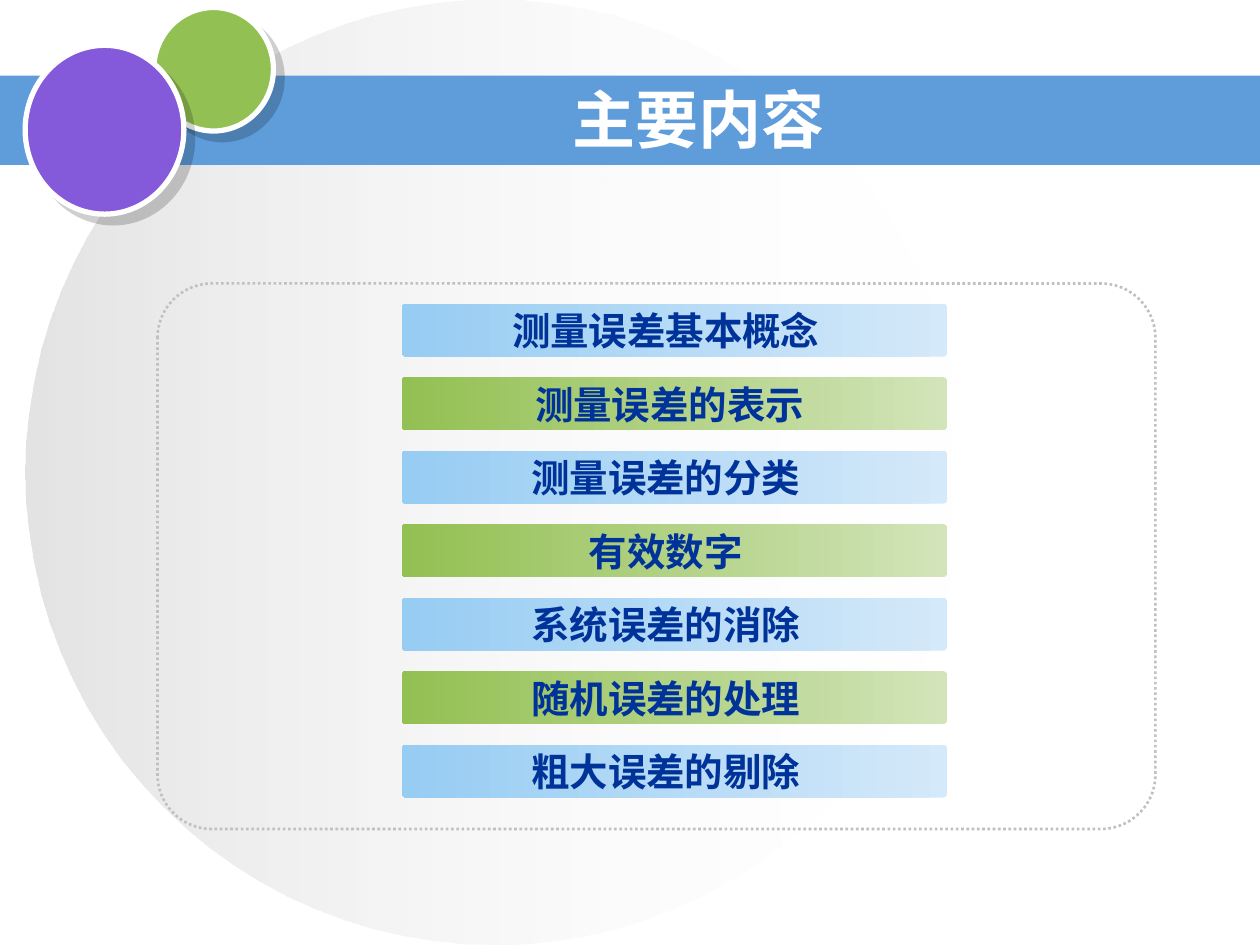
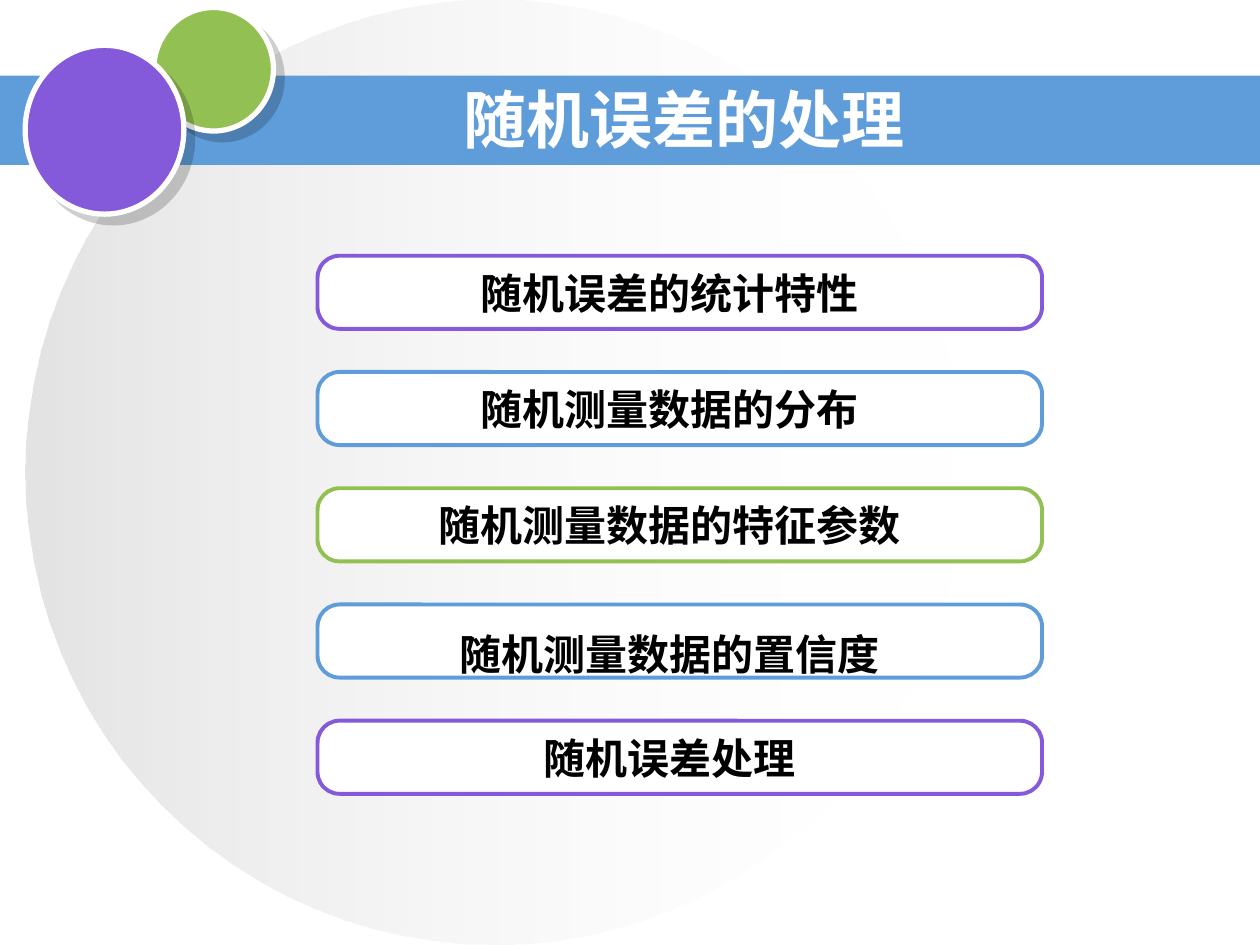
from dataclasses import dataclass

from lxml import etree
from pptx import Presentation
from pptx.dml.color import RGBColor
from pptx.enum.dml import MSO_LINE
from pptx.enum.shapes import MSO_SHAPE
from pptx.enum.text import MSO_ANCHOR, MSO_AUTO_SIZE, PP_ALIGN
from pptx.oxml.ns import qn
from pptx.util import Inches, Pt

ELLIPSE = MSO_SHAPE.OVAL
RECTANGLE = MSO_SHAPE.RECTANGLE
ROUNDED = MSO_SHAPE.ROUNDED_RECTANGLE
DOTTED = MSO_LINE.ROUND_DOT
MIDDLE = MSO_ANCHOR.MIDDLE
NO_AUTOFIT = MSO_AUTO_SIZE.NONE
CENTER = PP_ALIGN.CENTER
TITLE_ONLY = 5


@dataclass(frozen=True)
class Theme:
    font: str = "Arial"
    white: str = "FFFFFF"
    black: str = "000000"
    navy: str = "003399"
    blue: str = "5E9CDA"
    green: str = "93C052"
    purple: str = "855ADA"
    silver: str = "C0C0C0"
    disc_fade: tuple = ("FEFEFE", "C0C0C0")
    sky_fade: tuple = ("D4E9F9", "97CCF3")
    leaf_fade: tuple = ("D2E4B9", "93C052")
    title_size: float = 36
    contents_size: float = 22
    topic_size: float = 24
    inset: float = 0.1


THEME = Theme()

CONTENTS = [
    ("测量误差基本概念", 0.14),
    ("测量误差的表示", 0.08),
    ("测量误差的分类", 0.14),
    ("有效数字", 0.14),
    ("系统误差的消除", 0.14),
    ("随机误差的处理", 0.14),
    ("粗大误差的剔除", 0.14),
]

TOPICS = [
    ("随机误差的统计特性", THEME.purple, 1),
    ("随机测量数据的分布", THEME.blue, 1),
    ("随机测量数据的特征参数", THEME.green, 1),
    ("随机测量数据的置信度", THEME.blue, 1.5),
    ("随机误差处理", THEME.purple, 1),
]


def rgb(code):
    return RGBColor.from_string(code)


def place(shape, box):
    shape.left, shape.top, shape.width, shape.height = map(Inches, box)


def write(shape, text, size, color, bold=True, right_pad=0, spacing=1):
    frame = shape.text_frame
    frame.word_wrap = True
    frame.auto_size = NO_AUTOFIT
    frame.vertical_anchor = MIDDLE
    frame.margin_left = Inches(THEME.inset)
    frame.margin_right = Inches(THEME.inset + right_pad)
    frame.margin_top = frame.margin_bottom = Inches(THEME.inset / 2)
    paragraph = frame.paragraphs[0]
    paragraph.alignment = CENTER
    paragraph.line_spacing = spacing
    run = paragraph.add_run()
    run.text = text
    run.font.name = THEME.font
    run.font.size = Pt(size)
    run.font.bold = bold
    run.font.color.rgb = rgb(color)


def add_panel(slide, kind, box, fill=None, fade=None, line=None, width=1, corner=None):
    panel = slide.shapes.add_shape(kind, *map(Inches, box))
    panel.shadow.inherit = False
    if corner is not None:
        panel.adjustments[0] = corner
    if fade:
        panel.fill.gradient()
        panel.fill.gradient_angle = 180
        for stop, color in zip(panel.fill.gradient_stops, fade):
            stop.color.rgb = rgb(color)
    elif fill:
        panel.fill.solid()
        panel.fill.fore_color.rgb = rgb(fill)
    else:
        panel.fill.background()
    if line:
        panel.line.color.rgb = rgb(line)
        panel.line.width = Pt(width)
    else:
        panel.line.fill.background()
    return panel


def set_alpha(color_element, percent):
    etree.SubElement(color_element, qn("a:alpha"), val=str(percent * 1000))


def add_ball(slide, box, color):
    ball = add_panel(slide, ELLIPSE, box, fill=color, line=THEME.white, width=3)
    effects = ball.element.spPr.find(qn("a:effectLst"))
    shadow = etree.SubElement(
        effects, qn("a:outerShdw"), dist=str(Pt(7.1)), dir=str(45 * 60000),
        algn="ctr", rotWithShape="0",
    )
    set_alpha(etree.SubElement(shadow, qn("a:srgbClr"), val=THEME.black), 19)
    return ball


def decorate_layout(layout, slide):
    disc = add_panel(slide, ELLIPSE, (0.2, 0, 7.44, 7.5), fade=THEME.disc_fade)
    for color, opacity in zip(disc.element.spPr.iter(qn("a:srgbClr")), (0, 44)):
        set_alpha(color, opacity)
    band = add_panel(slide, RECTANGLE, (0, 0.6, 10, 0.71), fill=THEME.blue)
    small_ball = add_ball(slide, (1.22, 0.06, 0.95, 0.98), THEME.green)
    large_ball = add_ball(slide, (0.2, 0.36, 1.26, 1.34), THEME.purple)
    for depth, part in enumerate((disc, band, small_ball, large_ball), start=2):
        layout.shapes.element.insert(depth, part.element)


def add_title(slide, text, right_pad=0):
    title = slide.shapes.title
    place(title, (2.25, 0.67, 6.58, 0.53))
    write(title, text, THEME.title_size, THEME.white, right_pad=right_pad)


def row_tops(first, last, count):
    return [first + (last - first) * row / (count - 1) for row in range(count)]


def fill_contents(slide):
    add_title(slide, "主要内容")
    add_panel(
        slide, ROUNDED, (1.25, 2.25, 7.92, 4.33), line=THEME.silver, width=1.5, corner=0.1
    ).line.dash_style = DOTTED
    fades = (THEME.sky_fade, THEME.leaf_fade)
    tops = row_tops(2.41, 5.91, len(CONTENTS))
    for row, ((chapter, pad), top) in enumerate(zip(CONTENTS, tops)):
        bar = add_panel(
            slide, ROUNDED, (3.19, top, 4.33, 0.42), fade=fades[row % 2], corner=0.08
        )
        write(bar, chapter, THEME.contents_size, THEME.navy, right_pad=pad)


def fill_topics(slide):
    add_title(slide, "随机误差的处理", right_pad=0.22)
    tops = row_tops(2.03, 5.72, len(TOPICS))
    for (topic, outline, spacing), top in zip(TOPICS, tops):
        card = add_panel(
            slide, ROUNDED, (2.52, top, 5.75, 0.58), fill=THEME.white,
            line=outline, width=2.25, corner=0.3,
        )
        write(card, topic, THEME.topic_size, THEME.black, right_pad=0.16, spacing=spacing)


def main():
    deck = Presentation()
    deck.slide_width, deck.slide_height = Inches(10), Inches(7.5)
    layout = deck.slide_layouts[TITLE_ONLY]
    contents_slide = deck.slides.add_slide(layout)
    decorate_layout(layout, contents_slide)
    fill_contents(contents_slide)
    fill_topics(deck.slides.add_slide(layout))
    deck.save("out.pptx")


if __name__ == "__main__":
    main()
